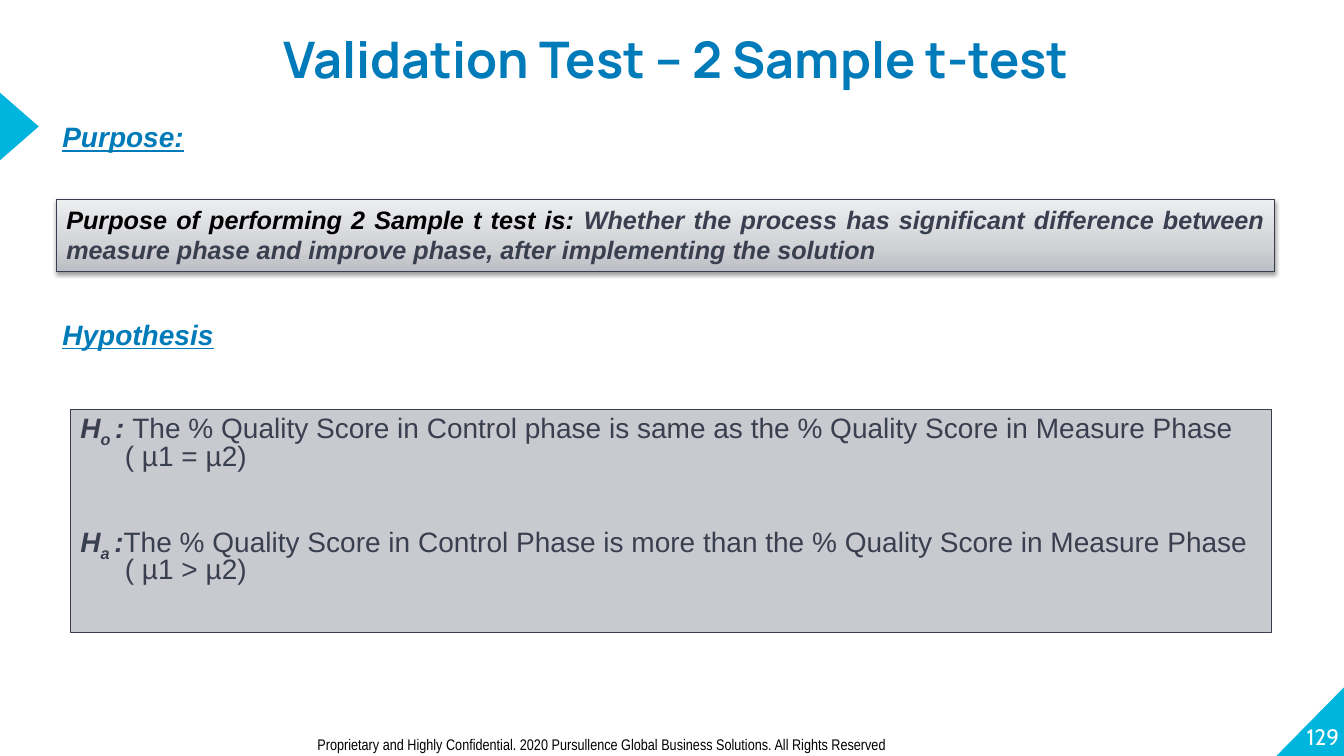
import pptx
import pptx.dml.color
import pptx.enum.shapes
import pptx.enum.text
import pptx.oxml
import pptx.oxml.ns
import pptx.util
import copy

SHAPE = pptx.enum.shapes.MSO_SHAPE
ALIGN = pptx.enum.text.PP_ALIGN
ANCHOR = pptx.enum.text.MSO_ANCHOR
CYAN, BLUE, SLATE, EDGE = "00B5DD", "007BB9", "3A3F50", "383D4F"
BLACK, WHITE, PALE = "000000", "FFFFFF", "C8CAD0"


def colour(hex_text):
    return pptx.dml.color.RGBColor.from_string(hex_text)


class TestSlide:
    def __init__(self, deck):
        self.width, self.height = deck.slide_width, deck.slide_height
        self.slide = deck.slides.add_slide(deck.slide_layouts[6])

    def place(self, left, top, width, height):
        return [int(share * side / 100) for share, side in
                zip((left, top, width, height),
                    (self.width, self.height, self.width, self.height))]

    def panel(self, kind, area, fill=None, line=None):
        panel = self.slide.shapes.add_shape(kind, *self.place(*area))
        panel.shadow.inherit = False
        if fill:
            panel.fill.solid()
            panel.fill.fore_color.rgb = colour(fill)
        if line:
            panel.line.color.rgb = colour(line)
            panel.line.width = pptx.util.Pt(0.75)
        else:
            panel.line.fill.background()
        return panel

    def shade(self, panel, stops, angle):
        panel.fill.gradient()
        panel.fill.gradient_angle = angle
        stop_list = panel.fill.gradient_stops[0]._gs.getparent()
        while len(stop_list) < len(stops):
            stop_list.append(copy.deepcopy(stop_list[0]))
        for stop, (position, tint) in zip(panel.fill.gradient_stops, stops):
            stop.position = position
            stop.color.rgb = colour(tint)

    def drop_shadow(self, panel):
        effects = panel._element.spPr.find(pptx.oxml.ns.qn("a:effectLst"))
        effects.append(pptx.oxml.parse_xml(
            f'<a:outerShdw {pptx.oxml.ns.nsdecls("a")} blurRad="{pptx.util.Pt(3.1)}" '
            f'dist="{pptx.util.Pt(1.6)}" dir="5400000" rotWithShape="0">'
            f'<a:srgbClr val="{BLACK}"><a:alpha val="38000"/></a:srgbClr></a:outerShdw>'))

    def text_box(self, area):
        return self.slide.shapes.add_textbox(*self.place(*area))

    def frame(self, holder, anchor=ANCHOR.TOP, inset=True):
        frame = holder.text_frame
        frame.word_wrap = True
        frame.vertical_anchor = anchor
        if not inset:
            frame.margin_left = frame.margin_right = 0
            frame.margin_top = frame.margin_bottom = 0
        return frame

    def add_words(self, paragraph, wording, size, tint, font="Arial",
                  bold=False, italic=False, underline=False, subscript=False):
        run = paragraph.add_run()
        run.text = wording
        run.font.name = font
        run.font.size = pptx.util.Pt(size)
        run.font.bold, run.font.italic = bold, italic
        run.font.color.rgb = colour(tint)
        if underline:
            run.font.underline = True
        if subscript:
            run.font._element.set("baseline", "-25000")

    def label(self, area, wording, size, tint, align=ALIGN.LEFT,
              anchor=ANCHOR.TOP, inset=True, spacing=None, **style):
        paragraph = self.frame(self.text_box(area), anchor, inset).paragraphs[0]
        paragraph.alignment = align
        if spacing:
            paragraph.line_spacing = spacing
        self.add_words(paragraph, wording, size, tint, **style)

    def heading(self, area, wording):
        self.label(area, wording, 20, BLUE, bold=True, italic=True, underline=True)

    def hypothesis(self, paragraph, letter, colon, wording):
        hang = pptx.util.Inches(0.44)
        properties = paragraph._p.get_or_add_pPr()
        properties.set("marL", str(hang))
        properties.set("indent", str(-hang))
        paragraph.alignment = ALIGN.LEFT
        paragraph.line_spacing = 0.8
        self.add_words(paragraph, "H", 20, SLATE, bold=True, italic=True)
        self.add_words(paragraph, letter, 20, SLATE, bold=True, italic=True, subscript=True)
        self.add_words(paragraph, colon, 20, SLATE, bold=True, italic=True)
        self.add_words(paragraph, wording, 20, SLATE)


def main():
    deck = pptx.Presentation()
    deck.slide_width = pptx.util.Inches(13.33)
    deck.slide_height = pptx.util.Inches(7.5)
    page = TestSlide(deck)

    corner = page.panel(SHAPE.RIGHT_TRIANGLE, (94.97, 90.93, 5.03, 9.07), CYAN)
    corner._element.spPr.xfrm.set("flipH", "1")
    pointer = page.panel(SHAPE.ISOSCELES_TRIANGLE, (-1.13, 14.13, 5.1, 5.2), CYAN)
    pointer.rotation = 90

    purpose = page.panel(SHAPE.RECTANGLE, (4.2, 26.4, 90.62, 9.47), line=EDGE)
    page.shade(purpose, [(0, "BCBEC5"), (0.35, "D0D2D6"), (1, "EDEEF0")], 90)
    page.drop_shadow(purpose)
    statement = page.frame(purpose).paragraphs[0]
    statement.alignment = ALIGN.JUSTIFY
    page.add_words(statement, "Purpose of performing 2 Sample t test is: ", 18, BLACK,
                   bold=True, italic=True)
    page.add_words(statement, "Whether the process has significant difference between measure "
                   "phase and improve phase, after implementing the solution", 18, SLATE,
                   bold=True, italic=True)

    page.label((94.6, 90.13, 5.03, 9.07), "129", 16, WHITE, ALIGN.RIGHT,
               ANCHOR.BOTTOM, inset=False, font="Cabin")
    page.label((22.88, 96.53, 63.84, 3.87),
               "Proprietary and Highly Confidential. 2020 Pursullence Global Business "
               "Solutions. All Rights Reserved", 11, BLACK, font="Arial Narrow")
    page.label((13.88, -0.27, 72.84, 10.13), "Validation Test – 2 Sample t-test", 36, BLUE,
               ALIGN.CENTER, inset=False, spacing=1.5, font="Manrope", bold=True)
    page.heading((3.9, 15.2, 90.62, 5.87), "Purpose:")
    page.heading((3.9, 41.33, 41.04, 5.87), "Hypothesis")

    hypotheses = page.frame(page.panel(SHAPE.RECTANGLE, (5.25, 54.13, 89.35, 29.6),
                                       PALE, SLATE))
    page.hypothesis(hypotheses.paragraphs[0], "o ", ": ",
                    "The % Quality Score in Control phase is same as the "
                    "% Quality Score in Measure Phase ( µ1 = µ2)")
    alternative = hypotheses.add_paragraph()
    alternative.space_before = pptx.util.Pt(40)
    page.hypothesis(alternative, "a ", ":",
                    "The % Quality Score in Control Phase is more than the "
                    "% Quality Score in Measure Phase ( µ1 > µ2)")
    deck.save("out.pptx")


if __name__ == "__main__":
    main()
